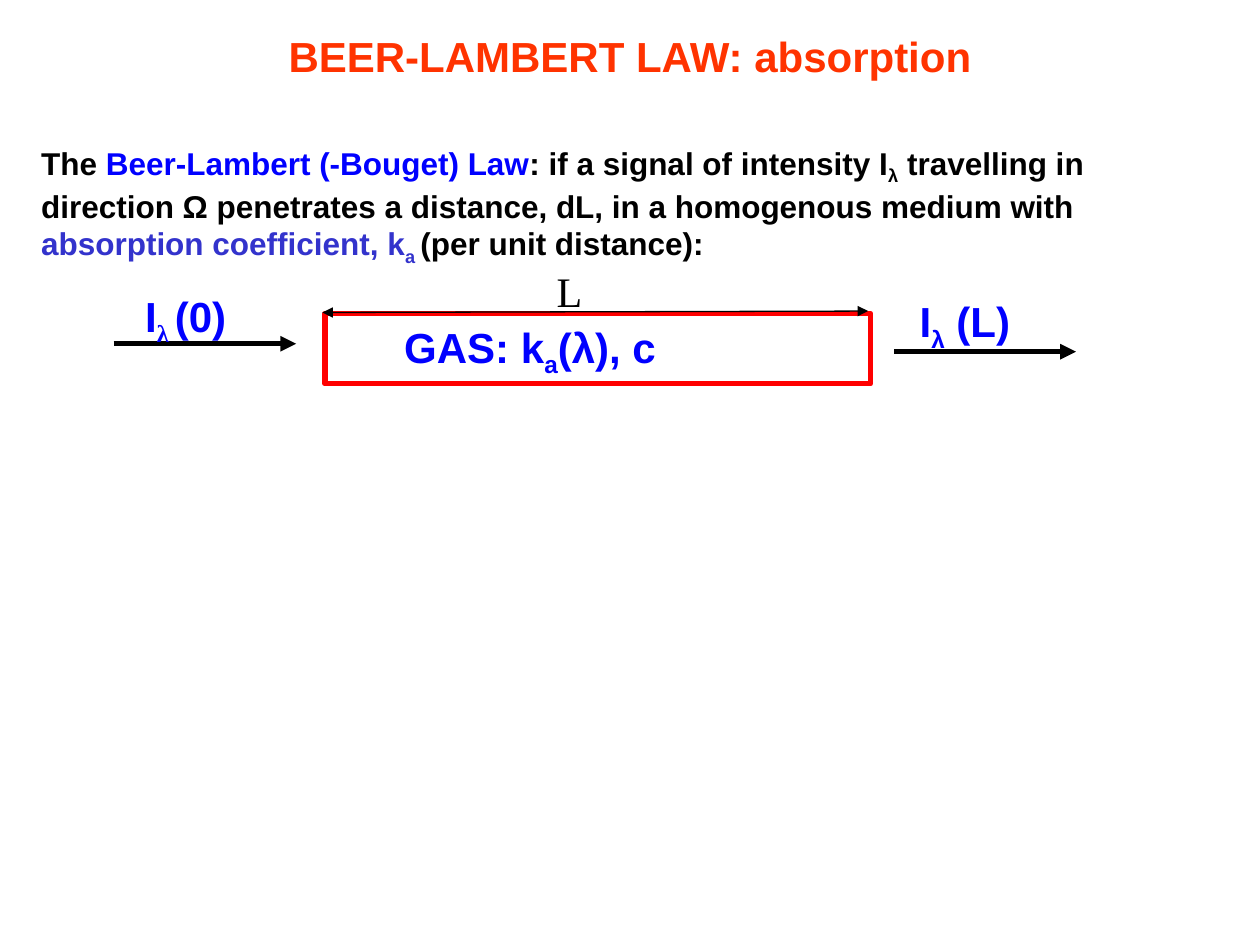
from lxml import etree
from pptx import Presentation
from pptx import util as u
from pptx.dml.color import RGBColor
from pptx.enum import shapes, text
from pptx.oxml.ns import qn

BLACK = RGBColor(0x00, 0x00, 0x00)
BLUE = RGBColor(0x00, 0x00, 0xFF)
INDIGO = RGBColor(0x33, 0x33, 0xCC)
ORANGE = RGBColor(0xFF, 0x33, 0x00)
RED = RGBColor(0xFF, 0x00, 0x00)


def write(paragraph, words, size=24, color=BLUE, font="Arial", bold=True, subscript=False):
    run = paragraph.add_run()
    run.text = words
    run.font.size = u.Pt(size)
    run.font.name = font
    run.font.bold = bold
    run.font.color.rgb = color
    if subscript:
        run._r.get_or_add_rPr().set("baseline", "-25000")


def add_paragraph_box(slide, left, top, width, height, wrap=True):
    """Add a text box and return its first paragraph."""
    box = slide.shapes.add_textbox(u.Cm(left), u.Cm(top), u.Cm(width), u.Cm(height))
    box.text_frame.word_wrap = wrap
    return box.text_frame.paragraphs[0]


def add_arrow(slide, x1, y1, x2, y2, width=3, both_ends=False):
    arrow = slide.shapes.add_connector(
        shapes.MSO_CONNECTOR.STRAIGHT, u.Cm(x1), u.Cm(y1), u.Cm(x2), u.Cm(y2))
    arrow.line.color.rgb = BLACK
    arrow.line.width = u.Pt(width)
    line = arrow.line._get_or_add_ln()
    for end in ("a:headEnd", "a:tailEnd") if both_ends else ("a:tailEnd",):
        etree.SubElement(line, qn(end), type="triangle")
    etree.SubElement(arrow._element.spPr, qn("a:effectLst"))


def add_title(slide, words):
    title = slide.shapes.title
    title.left, title.top = u.Cm(0), u.Cm(-0.51)
    title.width, title.height = u.Cm(25.4), u.Cm(3.28)
    frame = title.text_frame
    frame.auto_size = text.MSO_AUTO_SIZE.NONE
    frame.vertical_anchor = text.MSO_ANCHOR.MIDDLE
    paragraph = frame.paragraphs[0]
    paragraph.alignment = text.PP_ALIGN.CENTER
    write(paragraph, words, color=ORANGE)


def add_law(slide):
    law = add_paragraph_box(slide, 0.58, 2.77, 23.42, 4.2)
    for words, color, subscript in (
        ("The ", BLACK, False),
        ("Beer-Lambert (-Bouget) Law", BLUE, False),
        (": if a signal of intensity I", BLACK, False),
        ("λ", BLACK, True),
        (" travelling in direction Ω penetrates a distance, dL, "
         "in a homogenous medium with ", BLACK, False),
        ("absorption coefficient, k", INDIGO, False),
        ("a ", INDIGO, True),
        ("(per unit distance):", BLACK, False),
    ):
        write(law, words, size=18, color=color, subscript=subscript)


def add_gas_cell(slide):
    cell = slide.shapes.add_shape(
        shapes.MSO_SHAPE.RECTANGLE, u.Cm(6.55), u.Cm(6.32), u.Cm(11), u.Cm(1.42))
    cell.shadow.inherit = False
    cell.fill.background()
    cell.line.color.rgb = RED
    cell.line.width = u.Pt(3)

    gas = add_paragraph_box(slide, 7.9, 6.35, 8.74, 1.3)
    write(gas, "GAS: k")
    write(gas, "a", subscript=True)
    write(gas, "(λ), c")

    add_arrow(slide, 6.5, 6.3, 17.5, 6.27, width=0.75, both_ends=True)
    length = add_paragraph_box(slide, 10.97, 5.23, 1.04, 1.3, wrap=False)
    write(length, "L", color=BLACK, font="Times New Roman", bold=False)


def add_intensities(slide):
    add_arrow(slide, 2.29, 6.93, 5.97, 6.93)
    add_arrow(slide, 18.03, 7.09, 21.69, 7.09)

    incoming = add_paragraph_box(slide, 2.03, 5.74, 3.66, 1.19)
    incoming.alignment = text.PP_ALIGN.CENTER
    incoming.line_spacing = 0.9
    write(incoming, "I")
    write(incoming, "λ ", font="Times New Roman", subscript=True)
    write(incoming, "(0) ")

    outgoing = add_paragraph_box(slide, 18.29, 5.84, 3.4, 1.27)
    write(outgoing, "I")
    write(outgoing, "λ", subscript=True)
    write(outgoing, " (L)")


def main():
    presentation = Presentation()
    presentation.slide_width = u.Cm(25.4)
    presentation.slide_height = u.Cm(19.05)
    slide = presentation.slides.add_slide(presentation.slide_layouts[5])
    add_title(slide, "BEER-LAMBERT LAW: absorption")
    add_law(slide)
    add_gas_cell(slide)
    add_intensities(slide)
    presentation.save("out.pptx")


if __name__ == "__main__":
    main()
